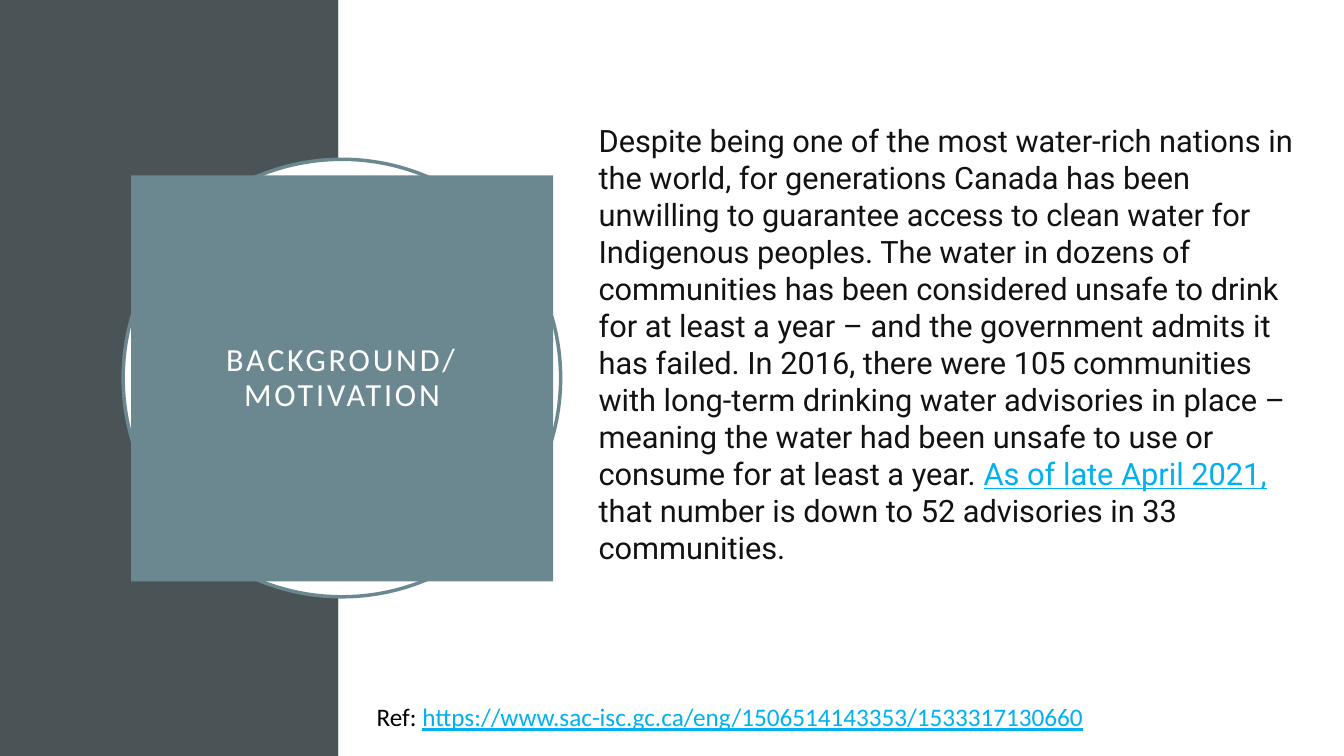
"""Build the Background/Motivation slide."""
from typing import NamedTuple, Optional

from pptx import Presentation
from pptx.dml.color import RGBColor
from pptx.enum.shapes import MSO_SHAPE
from pptx.enum.text import MSO_ANCHOR, MSO_AUTO_SIZE, PP_ALIGN
from pptx.util import Pt

RECTANGLE, OVAL = MSO_SHAPE.RECTANGLE, MSO_SHAPE.OVAL
MIDDLE, CENTER, NO_AUTOFIT = MSO_ANCHOR.MIDDLE, PP_ALIGN.CENTER, MSO_AUTO_SIZE.NONE
TITLE_ONLY_LAYOUT = 5
COLORS = {
    "slate": "4A5356",
    "teal": "6B8891",
    "white": "FFFFFF",
    "ink": "121212",
    "black": "000000",
    "link": "00B0F0",
}


class Box(NamedTuple):
    left: float
    top: float
    width: float
    height: float


class Panel(NamedTuple):
    kind: int
    box: Box
    fill: str
    outline: Optional[str] = None


class Passage(NamedTuple):
    box: Box
    font: str
    size: float
    pieces: tuple


PANELS = (
    Panel(RECTANGLE, Box(0, 0, 241.8, 540), "slate"),
    Panel(RECTANGLE, Box(241.8, 0, 718.2, 540), "white"),
    Panel(OVAL, Box(88, 113.8, 312.5, 312.5), "white", "teal"),
)
TITLE_BOX = Box(93.6, 125.2, 301.6, 290)
PASSAGES = (
    Passage(Box(420.5, 83.5, 519, 300), "Roboto", 22, (
        ("Despite being one of the most water-rich nations in the world, for generations "
         "Canada has been unwilling to guarantee access to clean water for Indigenous peoples. "
         "The water in dozens of communities has been considered unsafe to drink for at least "
         "a year – and the government admits it has failed. In 2016, there were 105 communities "
         "with long-term drinking water advisories in place –meaning the water had been unsafe "
         "to use or consume for at least a year. ", "ink"),
        ("As of late April 2021,", "link"),
        (" that number is down to 52 advisories in 33 communities.", "ink"),
    )),
    Passage(Box(262, 497.5, 640, 29), "Calibri", 18, (
        ("Ref: ", "black"),
        ("https://www.sac-isc.gc.ca/eng/1506514143353/1533317130660", "link"),
    )),
)


def rgb(name: str) -> RGBColor:
    """Return a named colour."""
    return RGBColor.from_string(COLORS[name])


def points(box: Box) -> list:
    """Return the box as lengths."""
    return [Pt(value) for value in box]


def add_text(paragraph, text: str, *, font: str, size: float, color: str,
             underline: bool = False, spacing: float = 0) -> None:
    """Append a formatted run to a paragraph."""
    run = paragraph.add_run()
    run.text = text
    run.font.name = font
    run.font.size = Pt(size)
    run.font.color.rgb = rgb(color)
    run.font.underline = underline
    if spacing:
        run._r.get_or_add_rPr().set("spc", str(round(spacing * 100)))


def add_panel(slide, panel: Panel) -> None:
    """Draw a filled background shape."""
    shape = slide.shapes.add_shape(panel.kind, *points(panel.box))
    shape.shadow.inherit = False
    shape.fill.solid()
    shape.fill.fore_color.rgb = rgb(panel.fill)
    if panel.outline:
        shape.line.color.rgb = rgb(panel.outline)
        shape.line.width = Pt(2.5)
    else:
        shape.line.fill.background()


def place_title(slide, box: Box, text: str) -> None:
    """Format the title placeholder and bring it to the front."""
    title = slide.shapes.title
    title.left, title.top, title.width, title.height = points(box)
    title.fill.solid()
    title.fill.fore_color.rgb = rgb("teal")
    frame = title.text_frame
    frame.auto_size = NO_AUTOFIT
    frame.word_wrap = True
    frame.vertical_anchor = MIDDLE
    frame.margin_left = frame.margin_right = Pt(14.4)
    frame.margin_top = frame.margin_bottom = Pt(14.4)
    paragraph = frame.paragraphs[0]
    paragraph.alignment = CENTER
    paragraph.line_spacing = 0.9
    add_text(paragraph, text, font="Calibri", size=23, color="white", spacing=2)
    slide.shapes._spTree.append(title._element)


def add_passage(slide, passage: Passage) -> None:
    """Add a text box of coloured pieces, underlining the links."""
    frame = slide.shapes.add_textbox(*points(passage.box)).text_frame
    frame.word_wrap = True
    for text, color in passage.pieces:
        add_text(frame.paragraphs[0], text, font=passage.font, size=passage.size,
                 color=color, underline=color == "link")


def main() -> None:
    """Build and save the presentation."""
    presentation = Presentation()
    presentation.slide_width, presentation.slide_height = Pt(960), Pt(540)
    slide = presentation.slides.add_slide(presentation.slide_layouts[TITLE_ONLY_LAYOUT])
    for panel in PANELS:
        add_panel(slide, panel)
    place_title(slide, TITLE_BOX, "BACKGROUND/MOTIVATION")
    for passage in PASSAGES:
        add_passage(slide, passage)
    presentation.save("out.pptx")


if __name__ == "__main__":
    main()
